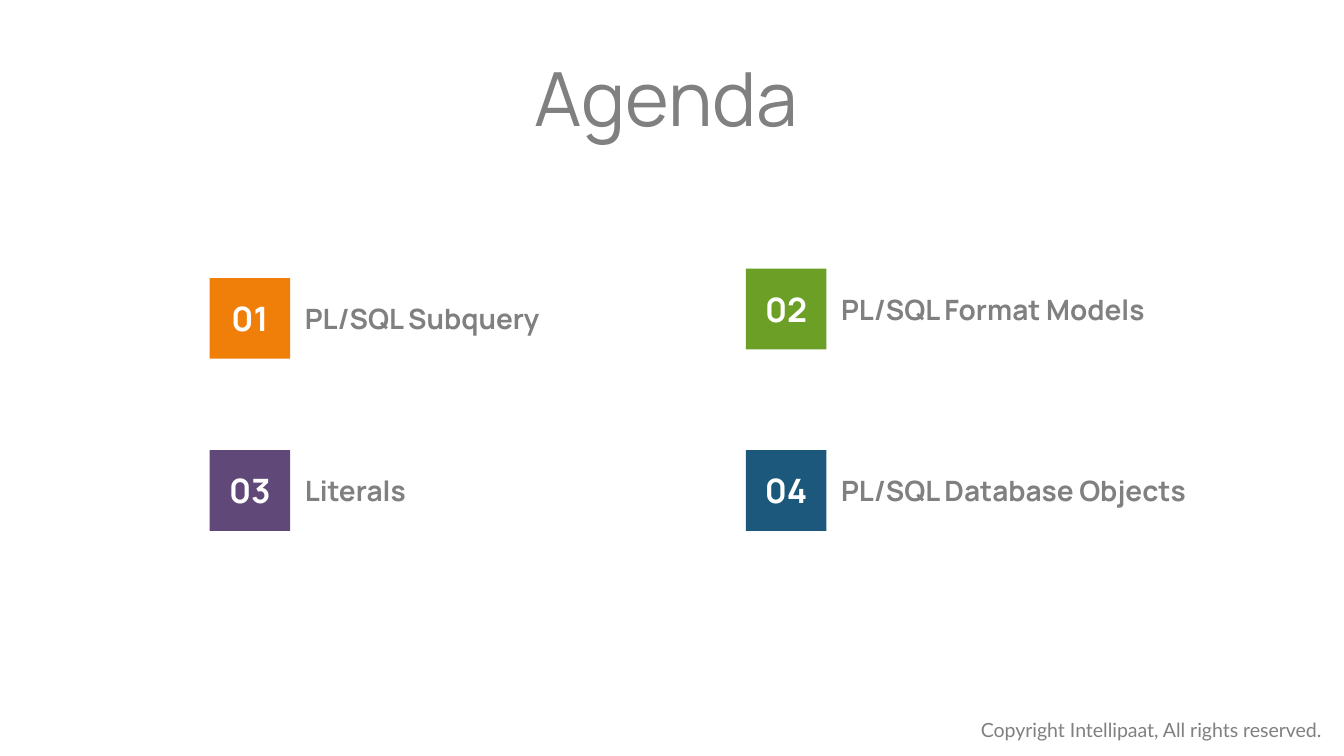
from pptx import Presentation
from pptx.dml.color import RGBColor
from pptx.enum import shapes, text
from pptx.util import Inches, Pt

TITLE = "Agenda"
COPYRIGHT = "Copyright Intellipaat, All rights reserved."
TOPICS = [
    ("01", "PL/SQL Subquery", "F07F09", 1.56, 2.07),
    ("02", "PL/SQL Format Models", "6B9F25", 5.55, 2.0),
    ("03", "Literals", "604878", 1.56, 3.35),
    ("04", "PL/SQL Database Objects", "1B587C", 5.55, 3.35),
]
GREY, WHITE = "808080", "FFFFFF"
SQUARE = 0.6
LABEL_WIDTH, LABEL_HEIGHT = 2.77, 0.35


def color(value):
    return RGBColor.from_string(value)


def write(shape, content, size, font="Manrope", fill=GREY, bold=False,
          align=text.PP_ALIGN.LEFT, anchor=text.MSO_ANCHOR.TOP, wrap=True):
    frame = shape.text_frame
    frame.word_wrap = wrap
    frame.vertical_anchor = anchor
    paragraph = frame.paragraphs[0]
    paragraph.text = content
    paragraph.alignment = align
    paragraph.font.name = font
    paragraph.font.size = Pt(size)
    paragraph.font.bold = bold
    paragraph.font.color.rgb = color(fill)
    return paragraph


def add_topic(slide, number, label, fill, left, top):
    square = slide.shapes.add_shape(
        shapes.MSO_SHAPE.RECTANGLE, Inches(left), Inches(top), Inches(SQUARE), Inches(SQUARE))
    square.shadow.inherit = False
    square.fill.solid()
    square.fill.fore_color.rgb = color(fill)
    square.line.fill.background()
    write(square, number, 18, fill=WHITE, bold=True,
          align=text.PP_ALIGN.CENTER, anchor=text.MSO_ANCHOR.MIDDLE)
    label_top = top + (SQUARE - LABEL_HEIGHT) / 2
    box = slide.shapes.add_textbox(
        Inches(left + SQUARE + 0.01), Inches(label_top), Inches(LABEL_WIDTH), Inches(LABEL_HEIGHT))
    write(box, label, 15, bold=True)


presentation = Presentation()
presentation.slide_width = Inches(10)
presentation.slide_height = presentation.slide_width * 9 // 16
slide = presentation.slides.add_slide(presentation.slide_layouts[5])

title = slide.shapes.title
title.left, title.top, title.width, title.height = map(Inches, (2.73, 0.41, 4.55, 0.63))
title.text_frame.auto_size = text.MSO_AUTO_SIZE.NONE
title.text_frame.margin_left = 0
heading = write(title, TITLE, 40, align=text.PP_ALIGN.CENTER)
heading.line_spacing = 0.9

for topic in TOPICS:
    add_topic(slide, *topic)

footer = slide.shapes.add_textbox(Inches(7.2), Inches(5.29), Inches(2.83), Inches(0.28))
write(footer, COPYRIGHT, 10.5, font="Lato", wrap=False)

presentation.save("out.pptx")
